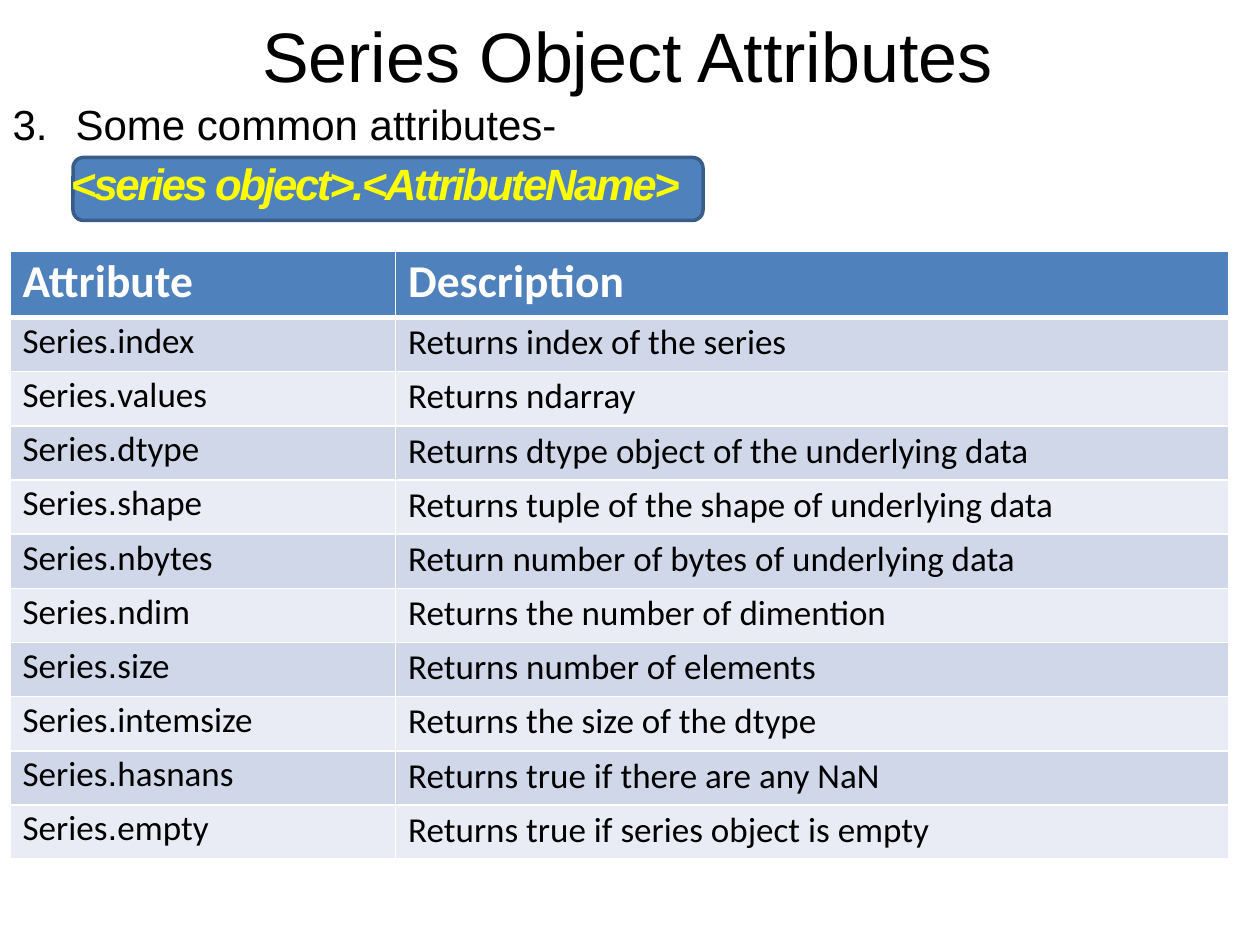
import pptx
import pptx.util
import pptx.dml.color
import pptx.enum.shapes
import pptx.enum.text
import pptx.oxml
import pptx.oxml.ns

COLORS = {
    "black": "000000", "white": "FFFFFF", "yellow": "FFFF00",
    "blue": "4F81BC", "outline": "385D89",
    "dark_band": "D0D7E8", "light_band": "E9ECF4",
}
NAMESPACE = pptx.oxml.ns.nsdecls("a")
Inches, Pt = pptx.util.Inches, pptx.util.Pt


def color(name):
    return pptx.dml.color.RGBColor.from_string(COLORS[name])


def write(paragraph, texts, size, color_name, space_before, indent, **font_format):
    """Fill a paragraph with (text, font name) runs, left aligned without a bullet."""
    paragraph.alignment = pptx.enum.text.PP_ALIGN.LEFT
    paragraph.space_before = Pt(space_before)
    properties = paragraph._p.get_or_add_pPr()
    properties.set("marL", str(Inches(indent)))
    properties.set("indent", "0")
    properties.append(pptx.oxml.parse_xml(f"<a:buNone {NAMESPACE}/>"))
    for text, font_name in texts:
        run = paragraph.add_run()
        run.text = text
        values = {"name": font_name, "size": Pt(size), **font_format}
        for name, value in values.items():
            setattr(run.font, name, value)
        run.font.color.rgb = color(color_name)


presentation = pptx.Presentation()
presentation.slide_width, presentation.slide_height = Inches(10), Inches(7.5)
slide = presentation.slides.add_slide(presentation.slide_layouts[1])
title, body = slide.shapes.title, slide.placeholders[1]

# Title and body placeholders: left, top, width, height, top inset
placements = [
    (title, (2.07, 0.09, 5.86, 0.69), 0.01),
    (body, (0.09, 0.71, 5.37, 0.97), 0.07),
]
for shape, box, top_inset in placements:
    for name, length in zip(("left", "top", "width", "height"), box):
        setattr(shape, name, Inches(length))
    frame_format = {
        "margin_left": 0, "margin_right": 0, "margin_bottom": 0,
        "margin_top": Inches(top_inset), "word_wrap": True,
        "auto_size": pptx.enum.text.MSO_AUTO_SIZE.NONE,
        "vertical_anchor": pptx.enum.text.MSO_ANCHOR.TOP,
    }
    for name, value in frame_format.items():
        setattr(shape.text_frame, name, value)

write(title.text_frame.paragraphs[0], [("Series Object Attributes", "Arial")],
      40, "black", 0.9, 0.01)

# Numbered line with a tab stop, then the syntax line
numbered = body.text_frame.paragraphs[0]
write(numbered, [("3.\tSome common attributes-", "Arial")], 24, "black", 5.2, 0.01)
numbered._p.get_or_add_pPr().append(pptx.oxml.parse_xml(
    f'<a:tabLst {NAMESPACE}><a:tab pos="{Inches(0.51)}" algn="l"/></a:tabLst>'))
syntax = body.text_frame.add_paragraph()
write(syntax, [("<series object>.<AttributeName>", "Arial")],
      25, "yellow", 4.8, 0.47, bold=True, italic=True)
syntax.runs[0]._r.get_or_add_rPr().set("spc", "-140")

# Rounded panel behind the syntax line
panel = slide.shapes.add_shape(
    pptx.enum.shapes.MSO_SHAPE.ROUNDED_RECTANGLE,
    Inches(0.58), Inches(1.25), Inches(5), Inches(0.5))
panel.shadow.inherit = False
panel.fill.solid()
panel.fill.fore_color.rgb = color("blue")
panel.line.color.rgb = color("outline")
panel.line.width = Pt(2)
title.element.addprevious(panel.element)

# Attribute table
rows = [
    ("Attribute", "Description"),
    ("index", "Returns index of the series"),
    ("values", "Returns ndarray"),
    ("dtype", "Returns dtype object of the underlying data"),
    ("shape", "Returns tuple of the shape of underlying data"),
    ("nbytes", "Return number of bytes of underlying data"),
    ("ndim", "Returns the number of dimention"),
    ("size", "Returns number of elements"),
    ("intemsize", "Returns the size of the dtype"),
    ("hasnans", "Returns true if there are any NaN"),
    ("empty", "Returns true if series object is empty"),
]
HEADER_HEIGHT, ROW_HEIGHT = 0.53, 0.43
COLUMN_WIDTHS = (3.06, 6.61)
table = slide.shapes.add_table(
    len(rows), len(COLUMN_WIDTHS), Inches(0.08), Inches(1.99),
    Inches(sum(COLUMN_WIDTHS)),
    Inches(HEADER_HEIGHT + ROW_HEIGHT * (len(rows) - 1))).table
for column, width in zip(table.columns, COLUMN_WIDTHS):
    column.width = Inches(width)

for row_index, row_texts in enumerate(rows):
    header = row_index == 0
    table.rows[row_index].height = Inches(HEADER_HEIGHT if header else ROW_HEIGHT)
    band = "blue" if header else ("light_band", "dark_band")[row_index % 2]
    for column_index, text in enumerate(row_texts):
        cell = table.cell(row_index, column_index)
        attribute_name = column_index == 0 and not header
        cell_format = {
            "margin_left": 0, "margin_right": 0, "margin_bottom": 0,
            "margin_top": Inches(0.02 if attribute_name else 0.03),
            "vertical_anchor": pptx.enum.text.MSO_ANCHOR.TOP,
        }
        for name, value in cell_format.items():
            setattr(cell, name, value)
        cell.fill.solid()
        cell.fill.fore_color.rgb = color(band)

        texts = [(text, "Calibri")]
        if attribute_name:
            texts = [("Series", "Calibri"), (".", "Arial")] + texts
        space_before = 2 if header else 1.6 if attribute_name else 2.4
        write(cell.text_frame.paragraphs[0], texts, 26 if header else 20,
              "white" if header else "black", space_before, 0.1, bold=header)

        # White borders, thicker under the header
        widths = {"lnL": 1, "lnR": 1, "lnT": 3 if row_index == 1 else 1,
                  "lnB": 3 if header else 1}
        cell_properties = cell._tc.get_or_add_tcPr()
        for position, (side, width) in enumerate(widths.items()):
            cell_properties.insert(position, pptx.oxml.parse_xml(
                f'<a:{side} {NAMESPACE} w="{Pt(width)}"><a:solidFill>'
                f'<a:srgbClr val="{COLORS["white"]}"/></a:solidFill></a:{side}>'))

presentation.save("out.pptx")
